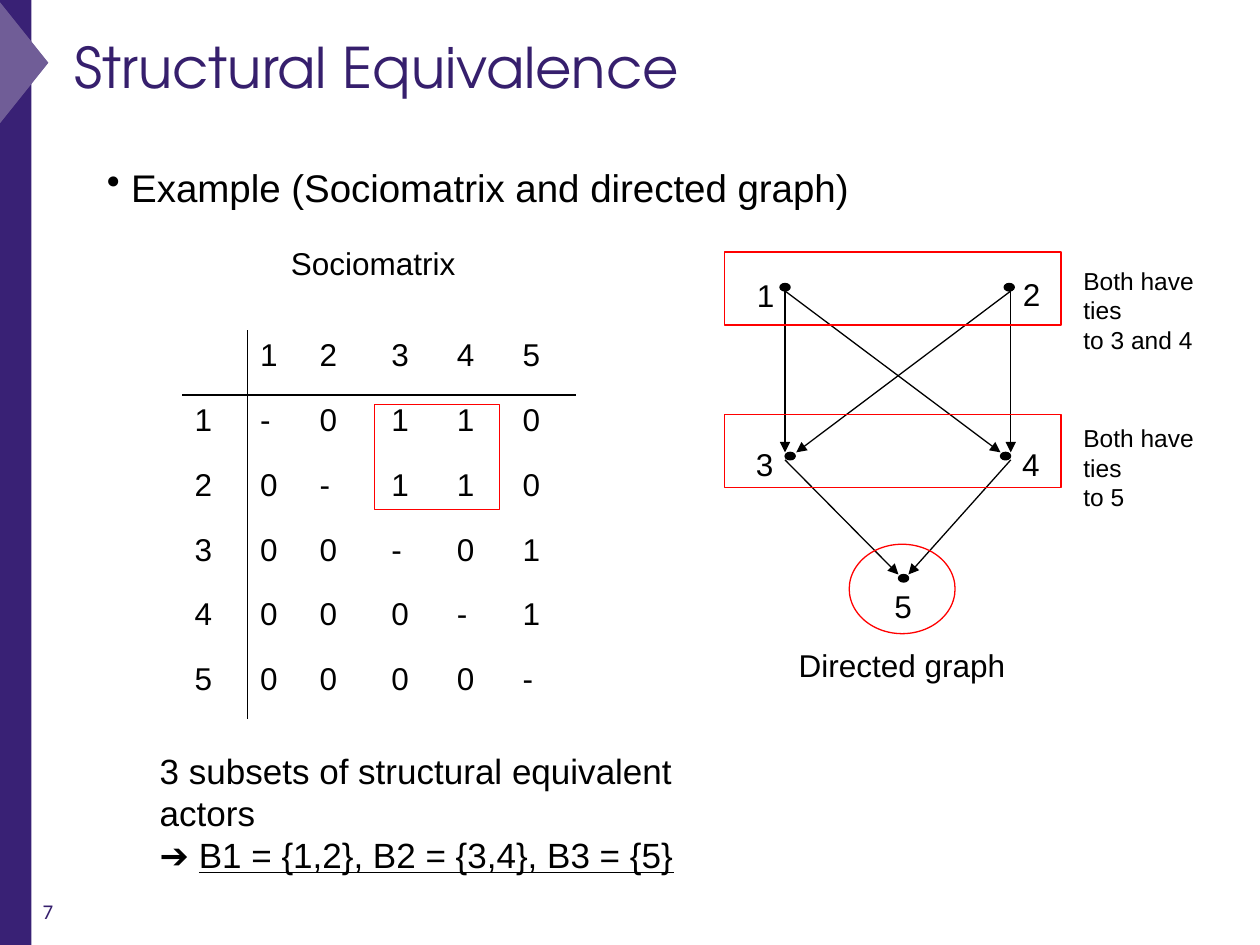
from lxml import etree
from pptx import Presentation
from pptx.dml.color import RGBColor
from pptx.enum.shapes import MSO_CONNECTOR, MSO_SHAPE
from pptx.enum.text import MSO_ANCHOR
from pptx.oxml.ns import qn
from pptx.util import Pt

RECTANGLE, OVAL, TRIANGLE = MSO_SHAPE.RECTANGLE, MSO_SHAPE.OVAL, MSO_SHAPE.ISOSCELES_TRIANGLE
STRAIGHT = MSO_CONNECTOR.STRAIGHT
MIDDLE, TOP = MSO_ANCHOR.MIDDLE, MSO_ANCHOR.TOP
PURPLE = RGBColor(0x39, 0x21, 0x75)
LIGHT_PURPLE = RGBColor(0x70, 0x5D, 0x97)
TITLE_PURPLE = RGBColor(0x36, 0x1F, 0x6D)
BLACK = RGBColor(0, 0, 0)
RED = RGBColor(0xFF, 0, 0)

presentation = Presentation()
presentation.slide_width, presentation.slide_height = Pt(720), Pt(540)
slide = presentation.slides.add_slide(presentation.slide_layouts[6])


def add_shape(kind, box, fill=None, line=None, line_width=0.75):
    shape = slide.shapes.add_shape(kind, *map(Pt, box))
    shape.shadow.inherit = False
    if fill is None:
        shape.fill.background()
    else:
        shape.fill.solid()
        shape.fill.fore_color.rgb = fill
    if line is None:
        shape.line.fill.background()
    else:
        shape.line.color.rgb = line
        shape.line.width = Pt(line_width)
    return shape


def add_text(box, lines, size, font="Arial", color=BLACK, wrap=False, anchor=TOP):
    frame = slide.shapes.add_textbox(*map(Pt, box)).text_frame
    frame.word_wrap = wrap
    frame.vertical_anchor = anchor
    font_format = {"name": font, "size": Pt(size)}
    for index, line in enumerate(lines):
        paragraph = frame.paragraphs[0] if index == 0 else frame.add_paragraph()
        for text, underline in line:
            run = paragraph.add_run()
            run.text = text
            run.font.color.rgb = color
            for name, value in {**font_format, "underline": underline}.items():
                setattr(run.font, name, value)
    return frame


add_shape(RECTANGLE, (0, 0, 18, 540), PURPLE)
add_shape(TRIANGLE, (-22.75, 21.5, 72, 28.8), LIGHT_PURPLE).rotation = 90
add_text((35.3, 13.7, 658, 48.2), [[("Structural Equivalence", None)]], 32,
         "TeX Gyre Adventor", TITLE_PURPLE, True, MIDDLE)

matrix = [" 12345", "1-0110", "20-110", "300-01", "4000-1", "50000-"]
column_widths = [37.5, 34, 41, 37.5, 37.5, 37.5]
row_height = 37
table_frame = slide.shapes.add_table(6, 6, Pt(104), Pt(188.8), Pt(sum(column_widths)), Pt(6 * row_height))
table = table_frame.table
table.first_row = table.horz_banding = False
for column, width in zip(table.columns, column_widths):
    column.width = Pt(width)
for row_index, values in enumerate(matrix):
    table.rows[row_index].height = Pt(row_height)
    for column_index, value in enumerate(values):
        cell = table.cell(row_index, column_index)
        paragraph = cell.text_frame.paragraphs[0]
        paragraph.line_spacing = 1.05
        if value.strip():
            paragraph.text = value
        for name, setting in {"name": "Arial", "size": Pt(18)}.items():
            setattr(paragraph.font, name, setting)
        paragraph.font.color.rgb = BLACK
        properties = cell._tc.get_or_add_tcPr()
        visible = {"a:lnL": column_index == 1, "a:lnR": column_index == 0,
                   "a:lnT": row_index == 1, "a:lnB": row_index == 0}
        for tag, shown in visible.items():
            border = etree.SubElement(properties, qn(tag), w=str(Pt(1)))
            if shown:
                border_fill = etree.SubElement(border, qn("a:solidFill"))
                etree.SubElement(border_fill, qn("a:srgbClr"), val=str(BLACK))
            else:
                etree.SubElement(border, qn("a:noFill"))
        cell.fill.background()

left, right, upper, lower = 448.6, 577.6, 166.3, 258.5
ties = [
    (left, upper, left, lower),
    (right, upper, right, lower),
    (left, 262.8, 513.4, 328.3),
    (right, 262.8, 519.1, 328.3),
    (left, upper, 571.7, lower),
    (right, upper, 455, lower),
]
for tie in ties:
    connector = slide.shapes.add_connector(STRAIGHT, *map(Pt, tie))
    connector.line.color.rgb = BLACK
    connector.line.width = Pt(0.75)
    etree.SubElement(connector.line._get_or_add_ln(), qn("a:tailEnd"), type="triangle")
    etree.SubElement(connector._element.spPr, qn("a:effectLst"))

nodes = [
    ("1", 445.7, 162, 425.5, 154.1),
    ("2", 573.8, 162, 577.4, 153.4),
    ("3", 448.6, 258.5, 424.8, 250.6),
    ("4", 571.7, 258.5, 577, 250.6),
    ("5", 513.4, 328.3, 504, 331.9),
]
for label, dot_left, dot_top, label_left, label_top in nodes:
    add_shape(OVAL, (dot_left, dot_top, 5.8, 4.3), BLACK, BLACK)
    add_text((label_left, label_top, 24.5, 28.8), [[(label, None)]], 18)

for top in (144, 236.9):
    add_shape(RECTANGLE, (414, top, 192.3, 41.8), line=RED)
add_shape(OVAL, (485.3, 311, 60.5, 51.1), line=RED)
add_shape(RECTANGLE, (213.6, 230.8, 72, 60), line=RED, line_width=0.25)

heading = add_text((54, 90, 624, 33.8), [[(" Example (Sociomatrix and directed graph)", None)]], 22, wrap=True)
etree.SubElement(heading.paragraphs[0]._p.get_or_add_pPr(), qn("a:buChar"), char="•")

add_text((159.1, 136.1, 108.7, 28.8), [[("Sociomatrix", None)]], 18)
add_text((449.3, 365.8, 132.5, 28.8), [[("Directed graph", None)]], 18)
subsets = add_text((84.2, 424.8, 367.2, 55.4), [
    [("3 subsets of structural equivalent actors", None)],
    [("➔ ", None), ("B1 = {1,2}, B2 = {3,4}, B3 = {5}", True)],
], 20, wrap=True)
subsets.margin_right = Pt(40)

for top, target in ((148.3, "to 3 and 4"), (238.3, "to 5")):
    add_text((612, top, 103, 41), [[("Both have ties", None)], [(target, None)]], 14)
add_text((17.3, 509.8, 179.3, 28.8), [[("7", None)]], 12, "Calibri", TITLE_PURPLE, True)

presentation.save("out.pptx")
